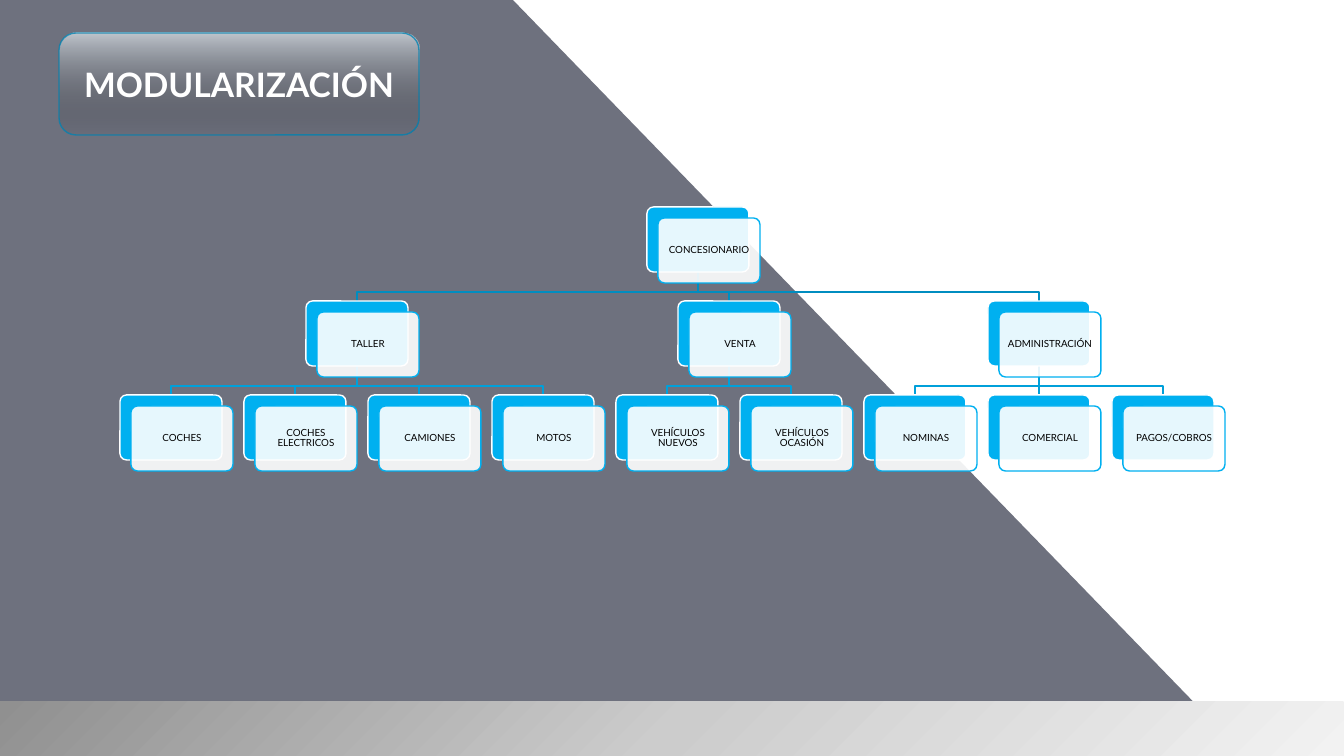
from dataclasses import dataclass

from pptx import Presentation
from pptx.dml.color import RGBColor
from pptx.enum.shapes import MSO_CONNECTOR, MSO_SHAPE
from pptx.enum.text import MSO_ANCHOR, PP_ALIGN
from pptx.oxml import parse_xml
from pptx.oxml.ns import nsdecls, qn
from pptx.oxml.xmlchemy import OxmlElement
from pptx.util import Emu, Pt

TITLE = "MODULARIZACIÓN"
ROOT = "CONCESIONARIO"
BRANCHES = [
    ("TALLER", ["COCHES", "COCHES ELECTRICOS", "CAMIONES", "MOTOS"]),
    ("VENTA", ["VEHÍCULOS NUEVOS", "VEHÍCULOS OCASIÓN"]),
    ("ADMINISTRACIÓN", ["NOMINAS", "COMERCIAL", "PAGOS/COBROS"]),
]


@dataclass(frozen=True)
class Theme:
    font: str = "Lato"
    title_size: int = 24
    node_size: int = 7
    line_width: int = 1
    white: str = "FFFFFF"
    black: str = "000000"
    accent: str = "00B0F0"
    backdrop: str = "212539"
    title_line: str = "0082B2"
    links: tuple = ("008DC0", "00A0DA")
    # Stops: position %, colour, opacity %
    title_stops: tuple = ((0, "F2FBFF", 62), (100, "000000", 3))
    footer_stops: tuple = ((0, "909090", 100), (50, "CCCCCC", 100), (100, "F2F2F2", 100))


THEME = Theme()

# Lengths in px
SLIDE_W, SLIDE_H = 1344, 756
SCALE = 12192000 / SLIDE_W
BACKDROP = [(512, -1), (0, -1), (0, SLIDE_H), (1246, SLIDE_H)]
FOOTER_TOP = 702
TITLE_BOX = (59, 33, 360, 102)
CARD_W, CARD_H, CARD_SHIFT = 102, 65, 11
CARD_MARGIN = 3
FIRST_CENTRE, LEAF_STEP = 171, 124
FIRST_TOP, LEVEL_STEP = 207, 94
BEND_DROP = 20


def px(length):
    return Emu(round(length * SCALE))


def set_opacity(color_format_parent, percent):
    """Make the solid colour inside a fill or line element partly transparent."""
    color = next(color_format_parent.iter(qn("a:srgbClr")))
    alpha = OxmlElement("a:alpha")
    alpha.set("val", str(percent * 1000))
    color.append(alpha)


def paint(shape, fill=None, line=None, opacity=100):
    shape.shadow.inherit = False
    if fill:
        shape.fill.solid()
        shape.fill.fore_color.rgb = RGBColor.from_string(fill)
        if opacity < 100:
            set_opacity(shape.fill._xPr.find(qn("a:solidFill")), opacity)
    else:
        shape.fill.background()
    if line:
        shape.line.color.rgb = RGBColor.from_string(line)
        shape.line.width = Pt(THEME.line_width)
    else:
        shape.line.fill.background()


def paint_gradient(shape, stops, direction):
    """Swap the empty fill of a painted shape for a gradient."""
    stop_xml = "".join(
        f'<a:gs pos="{position * 1000}"><a:srgbClr val="{color}">'
        f'<a:alpha val="{opacity * 1000}"/></a:srgbClr></a:gs>'
        for position, color, opacity in stops
    )
    gradient = parse_xml(
        f'<a:gradFill {nsdecls("a")} rotWithShape="1">'
        f"<a:gsLst>{stop_xml}</a:gsLst>{direction}</a:gradFill>"
    )
    properties = shape._element.spPr
    properties.replace(properties.find(qn("a:noFill")), gradient)


def add_box(slide, kind, left, top, width, height):
    return slide.shapes.add_shape(kind, px(left), px(top), px(width), px(height))


def write(shape, text, size, color, bold=False, spacing=1.0):
    frame = shape.text_frame
    frame.word_wrap = True
    frame.vertical_anchor = MSO_ANCHOR.MIDDLE
    paragraph = frame.paragraphs[0]
    paragraph.text = text
    paragraph.alignment = PP_ALIGN.CENTER
    paragraph.line_spacing = spacing
    font = paragraph.font
    font.name, font.size, font.bold = THEME.font, Pt(size), bold
    font.color.rgb = RGBColor.from_string(color)


def add_outline(slide, points, close):
    builder = slide.shapes.build_freeform(*points[0], scale=SCALE)
    builder.add_line_segments(points[1:], close=close)
    return builder.convert_to_shape()


def level_top(level):
    return FIRST_TOP + level * LEVEL_STEP


def add_link(slide, parent_centre, child_centre, parent_level):
    color = THEME.links[parent_level]
    start = level_top(parent_level) + CARD_H
    bend, end = start + BEND_DROP, level_top(parent_level + 1)
    if parent_centre == child_centre:
        link = slide.shapes.add_connector(
            MSO_CONNECTOR.STRAIGHT, px(parent_centre), px(start), px(child_centre), px(end)
        )
        link.line.color.rgb = RGBColor.from_string(color)
        link.line.width = Pt(THEME.line_width)
        link._element.spPr.append(OxmlElement("a:effectLst"))
    else:
        points = [(parent_centre, start), (parent_centre, bend),
                  (child_centre, bend), (child_centre, end)]
        paint(add_outline(slide, points, close=False), line=color)


def add_node(slide, text, centre, level):
    left, top = centre - CARD_W / 2, level_top(level)
    looks = [(0, THEME.accent, THEME.white, 100),
             (CARD_SHIFT, THEME.white, THEME.accent, 90)]
    for shift, fill, line, opacity in looks:
        card = add_box(slide, MSO_SHAPE.ROUNDED_RECTANGLE,
                       left + shift, top + shift, CARD_W, CARD_H)
        card.adjustments[0] = 0.1
        paint(card, fill, line, opacity)
    frame = card.text_frame
    frame.margin_left = frame.margin_right = px(CARD_MARGIN)
    frame.margin_top = frame.margin_bottom = px(CARD_MARGIN)
    write(card, text, THEME.node_size, THEME.black, spacing=0.9)


def middle(centres):
    return (centres[0] + centres[-1]) / 2


def add_chart_tree(slide):
    """Place leaves at equal steps and centre each parent over its children."""
    nodes, links, branch_centres = [], [], []
    leaf_count = 0
    for branch, leaves in BRANCHES:
        centres = [FIRST_CENTRE + (leaf_count + i) * LEAF_STEP for i in range(len(leaves))]
        leaf_count += len(leaves)
        branch_centre = middle(centres)
        branch_centres.append(branch_centre)
        nodes.append((branch, branch_centre, 1))
        nodes += [(leaf, centre, 2) for leaf, centre in zip(leaves, centres)]
        links += [(branch_centre, centre, 1) for centre in centres]
    root_centre = middle(branch_centres)
    nodes.insert(0, (ROOT, root_centre, 0))
    links += [(root_centre, centre, 0) for centre in branch_centres]
    for link in links:
        add_link(slide, *link)
    for node in nodes:
        add_node(slide, *node)


def main():
    presentation = Presentation()
    presentation.slide_width, presentation.slide_height = px(SLIDE_W), px(SLIDE_H)
    slide = presentation.slides.add_slide(presentation.slide_layouts[6])

    paint(add_outline(slide, BACKDROP, close=True), THEME.backdrop, opacity=65)
    add_chart_tree(slide)

    footer = add_box(slide, MSO_SHAPE.RECTANGLE, 0, FOOTER_TOP, SLIDE_W, SLIDE_H - FOOTER_TOP)
    paint(footer)
    paint_gradient(footer, THEME.footer_stops,
                   '<a:path path="circle"><a:fillToRect r="100000" b="100000"/></a:path>')

    title = add_box(slide, MSO_SHAPE.ROUNDED_RECTANGLE, *TITLE_BOX)
    paint(title, line=THEME.title_line)
    set_opacity(title.line._ln, 77)
    paint_gradient(title, THEME.title_stops, '<a:lin ang="5400000" scaled="0"/>')
    write(title, TITLE, THEME.title_size, THEME.white, bold=True)

    presentation.save("out.pptx")


if __name__ == "__main__":
    main()
